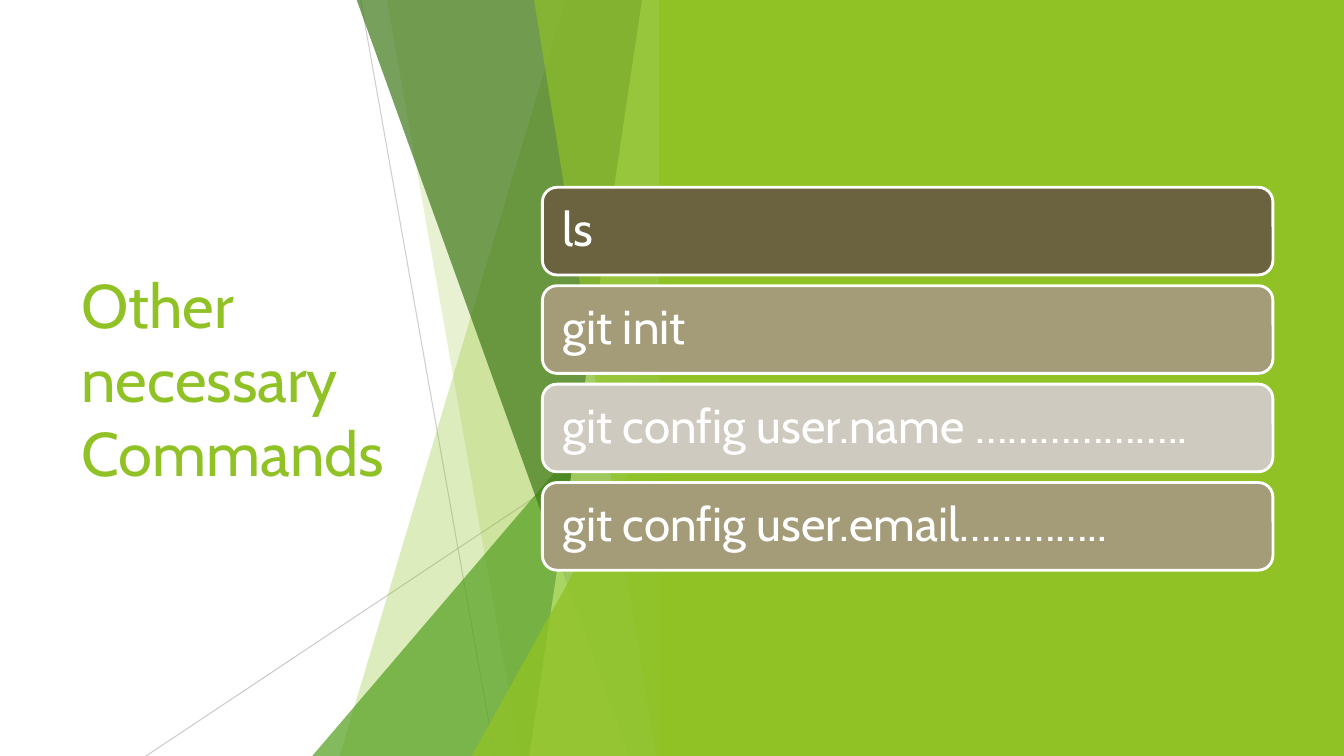
from lxml import etree
from pptx import Presentation
from pptx.dml.color import RGBColor
from pptx.enum.shapes import MSO_CONNECTOR, MSO_SHAPE
from pptx.enum.text import MSO_ANCHOR, MSO_AUTO_SIZE, PP_ALIGN
from pptx.oxml.ns import qn
from pptx.util import Cm, Pt

STRAIGHT = MSO_CONNECTOR.STRAIGHT
TRIANGLE = MSO_SHAPE.ISOSCELES_TRIANGLE
RECTANGLE = MSO_SHAPE.RECTANGLE
ROUNDED = MSO_SHAPE.ROUNDED_RECTANGLE
MIDDLE = MSO_ANCHOR.MIDDLE
NO_AUTOFIT = MSO_AUTO_SIZE.NONE
LEFT = PP_ALIGN.LEFT

FONT = "Cabin"
LIME = "90C226"
GREEN = "54A021"
WHITE = "FFFFFF"
SLIDE_W, SLIDE_H = 33.87, 19.05
FACET_RIGHT = 16.92
PANEL_LEFT = 16.61

RAYS = [
    ((9.09, 0), (12.47, SLIDE_H), 75),
    ((FACET_RIGHT, 10.24), (3.68, SLIDE_H), 80),
]
BACK_FACETS = [(14.25, 8.56, LIME, 30), (9.75, 13.11, LIME, 20)]
FRONT_FACETS = [
    (8.99, 15.85, "3F7819", 70),
    (16.18, 13.34, "C0E474", 70),
    (13.46, 16.54, LIME, 65),
]
COMMANDS = [
    ("ls", "6B633F"),
    ("git init", "A49B78"),
    ("git config user.name ………………..", "CECABF"),
    ("git config user.email…………..", "A49B78"),
]
COMMAND_TOP, COMMAND_PITCH = 4.72, 2.48


def paint(fill, color, opacity=100):
    fill.solid()
    fill.fore_color.rgb = RGBColor.from_string(color)
    if opacity < 100:
        srgb = fill._xPr.find(".//" + qn("a:srgbClr"))
        etree.SubElement(srgb, qn("a:alpha"), val=str(opacity * 1000))


def finish(shape, color, opacity=100):
    paint(shape.fill, color, opacity)
    shape.line.fill.background()
    shape.shadow.inherit = False


def add_ray(slide, start, end, opacity):
    ray = slide.shapes.add_connector(STRAIGHT, *map(Cm, start + end))
    ray.line.width = Pt(0.75)
    paint(ray.line.fill, "BFBFBF", opacity)
    etree.SubElement(ray.element.spPr, qn("a:effectLst"))


def add_facet(slide, top_x, bottom_x, color, opacity):
    outline = slide.shapes.build_freeform(Cm(top_x), Cm(0))
    corners = [(FACET_RIGHT, 0), (FACET_RIGHT, SLIDE_H), (bottom_x, SLIDE_H)]
    outline.add_line_segments([(Cm(x), Cm(y)) for x, y in corners], close=True)
    finish(outline.convert_to_shape(), color, opacity)


def add_wedge(slide, left, top, color, opacity):
    wedge = slide.shapes.add_shape(
        TRIANGLE, Cm(left), Cm(top), Cm(FACET_RIGHT - left), Cm(SLIDE_H - top))
    wedge.adjustments[0] = 1
    finish(wedge, color, opacity)


def add_panel(slide):
    panel = slide.shapes.add_shape(
        RECTANGLE, Cm(PANEL_LEFT), Cm(0), Cm(SLIDE_W - PANEL_LEFT), Cm(SLIDE_H))
    finish(panel, LIME)


def write(frame, text, size, color):
    frame.word_wrap = True
    frame.auto_size = NO_AUTOFIT
    frame.vertical_anchor = MIDDLE
    paragraph = frame.paragraphs[0]
    paragraph.alignment = LEFT
    run = paragraph.add_run()
    run.text = text
    run.font.name = FONT
    run.font.size = Pt(size)
    run.font.color.rgb = RGBColor.from_string(color)
    return paragraph


def place_title(slide, text):
    title = slide.shapes.title
    title.left, title.top = Cm(1.8), Cm(3.84)
    title.width, title.height = Cm(9.86), Cm(11.38)
    write(title.text_frame, text, 44, LIME)
    title.element.getparent().append(title.element)


def add_command(slide, row, text, color):
    box = slide.shapes.add_shape(
        ROUNDED, Cm(13.67), Cm(COMMAND_TOP + row * COMMAND_PITCH), Cm(18.41), Cm(2.21))
    finish(box, color)
    paint(box.line.fill, WHITE)
    box.line.width = Pt(2)
    frame = box.text_frame
    frame.margin_left = frame.margin_right = Cm(0.4)
    frame.margin_top = frame.margin_bottom = Cm(0.4)
    write(frame, text, 34, WHITE).line_spacing = 0.9


def main():
    deck = Presentation()
    deck.slide_width, deck.slide_height = Cm(SLIDE_W), Cm(SLIDE_H)
    slide = deck.slides.add_slide(deck.slide_layouts[5])
    for ray in RAYS:
        add_ray(slide, *ray)
    for facet in BACK_FACETS:
        add_facet(slide, *facet)
    add_wedge(slide, 7.87, 8.46, GREEN, 72)
    for facet in FRONT_FACETS:
        add_facet(slide, *facet)
    add_wedge(slide, 11.89, 9.98, LIME, 80)
    add_panel(slide)
    place_title(slide, "Other necessary Commands")
    for row, (text, color) in enumerate(COMMANDS):
        add_command(slide, row, text, color)
    deck.save("out.pptx")


if __name__ == "__main__":
    main()
